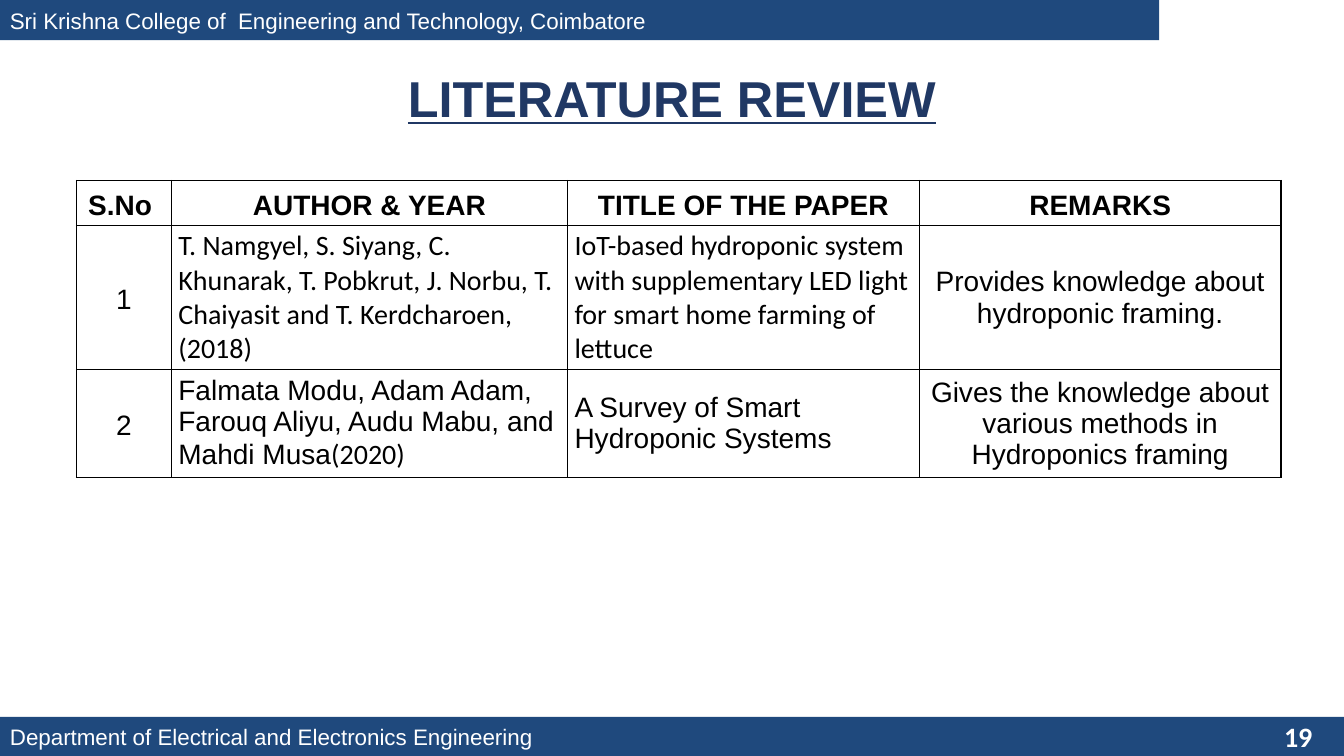
import pptx
import pptx.dml.color
import pptx.enum.shapes
import pptx.enum.text
import pptx.oxml
import pptx.oxml.ns
import pptx.util

Pt = pptx.util.Pt
RGBColor = pptx.dml.color.RGBColor
ALIGN = pptx.enum.text.PP_ALIGN
MIDDLE = pptx.enum.text.MSO_ANCHOR.MIDDLE

BAND_BLUE = RGBColor(0x1F, 0x49, 0x7D)
TITLE_NAVY = RGBColor(0x20, 0x38, 0x64)
WHITE = RGBColor(0xFF, 0xFF, 0xFF)
BLACK = RGBColor(0, 0, 0)

SLIDE_WIDTH, SLIDE_HEIGHT = 960, 540
COLUMN_WIDTHS = [67.7, 283, 251.3, 258.4]
ROW_HEIGHTS = [31, 102.8, 74]
HEADINGS = ["S.No ", "AUTHOR & YEAR", "TITLE OF THE PAPER", "REMARKS"]
PAPERS = [
    (
        [("T. Namgyel, S. Siyang, C. Khunarak, T. Pobkrut, J. Norbu, "
          "T. Chaiyasit and T. Kerdcharoen, (2018)", "Calibri")],
        [("IoT-based hydroponic system with supplementary LED light "
          "for smart home farming of lettuce", "Calibri")],
        "Provides knowledge about hydroponic framing.",
    ),
    (
        [("Falmata Modu, Adam Adam, Farouq Aliyu, Audu Mabu, and Mahdi Musa", "Arial"),
         ("(2020)", "Calibri")],
        [("A Survey of Smart Hydroponic Systems", "Arial")],
        "Gives the knowledge about various methods in Hydroponics framing",
    ),
]


class ReviewSlide:
    """Holds the slide and its style, and adds each kind of element."""

    def __init__(self, presentation):
        self.slide = presentation.slides.add_slide(presentation.slide_layouts[5])

    def add_runs(self, frame, runs, size, color, align=ALIGN.LEFT, bold=False,
                 underline=False, spacing=1.0):
        paragraph = frame.paragraphs[0]
        paragraph.alignment = align
        paragraph.line_spacing = spacing
        for text, font_name in runs:
            run = paragraph.add_run()
            run.text = text
            run.font.name = font_name
            run.font.size = Pt(size)
            run.font.bold = bold
            run.font.underline = underline
            run.font.color.rgb = color

    def place(self, shape, left, top, width, height):
        shape.left, shape.top = Pt(left), Pt(top)
        shape.width, shape.height = Pt(width), Pt(height)

    def title(self, text, *box):
        heading = self.slide.shapes.title
        self.place(heading, *box)
        heading.fill.solid()
        heading.fill.fore_color.rgb = WHITE
        heading.line.color.rgb = WHITE
        heading.line.width = Pt(0.75)
        frame = heading.text_frame
        frame.auto_size = pptx.enum.text.MSO_AUTO_SIZE.NONE
        frame.vertical_anchor = MIDDLE
        self.add_runs(frame, [(text, "Arial")], 36, TITLE_NAVY, ALIGN.CENTER,
                      bold=True, underline=True, spacing=0.9)

    def band(self, text, *box):
        band = self.slide.shapes.add_shape(
            pptx.enum.shapes.MSO_SHAPE.RECTANGLE, *map(Pt, box))
        band.shadow.inherit = False
        band.fill.solid()
        band.fill.fore_color.rgb = BAND_BLUE
        band.line.fill.background()
        band.text_frame.vertical_anchor = MIDDLE
        self.add_runs(band.text_frame, [(text, "Arial")], 16, WHITE)

    def page_number(self, text, *box):
        number = self.slide.shapes.add_textbox(*map(Pt, box))
        number.text_frame.word_wrap = True
        number.text_frame.vertical_anchor = MIDDLE
        self.add_runs(number.text_frame, [(text, "Calibri")], 20, WHITE,
                      ALIGN.RIGHT, bold=True)

    def table(self, left, top, widths, heights):
        table = self.slide.shapes.add_table(
            len(heights), len(widths), Pt(left), Pt(top),
            Pt(sum(widths)), Pt(sum(heights))).table
        table.first_row = table.horz_banding = False
        for column, width in zip(table.columns, widths):
            column.width = Pt(width)
        for row, height in zip(table.rows, heights):
            row.height = Pt(height)
        return table

    def cell(self, cell, runs, align=ALIGN.CENTER, bold=False, spacing=1.0):
        cell.vertical_anchor = MIDDLE
        cell.margin_left = cell.margin_right = Pt(5)
        cell.margin_top = cell.margin_bottom = Pt(2.4)
        properties = cell._tc.get_or_add_tcPr()
        for side in ("lnL", "lnR", "lnT", "lnB"):
            properties.append(pptx.oxml.parse_xml(
                f'<a:{side} {pptx.oxml.ns.nsdecls("a")} w="{Pt(1)}"><a:solidFill>'
                f'<a:srgbClr val="{BLACK}"/></a:solidFill></a:{side}>'))
        cell.fill.background()
        self.add_runs(cell.text_frame, runs, 20, BLACK, align, bold, spacing=spacing)


def main():
    presentation = pptx.Presentation()
    presentation.slide_width = Pt(SLIDE_WIDTH)
    presentation.slide_height = Pt(SLIDE_HEIGHT)
    review = ReviewSlide(presentation)

    review.band("Department of Electrical and Electronics Engineering",
                0, 512, SLIDE_WIDTH, 28)
    review.band("Sri Krishna College of  Engineering and Technology, Coimbatore",
                0, 0, 828, 28.8)
    review.page_number("19", 728.6, 511.2, 216, 28.8)
    review.title("LITERATURE REVIEW", 150, 42.5, 660, 59.8)

    papers = review.table(54.7, 128.9, COLUMN_WIDTHS, ROW_HEIGHTS)
    for column, heading in enumerate(HEADINGS):
        review.cell(papers.cell(0, column), [(heading, "Arial")],
                    bold=True, spacing=1.15)
    for row, (authors, paper_title, remark) in enumerate(PAPERS, start=1):
        review.cell(papers.cell(row, 0), [(str(row), "Arial")], spacing=1.15)
        review.cell(papers.cell(row, 1), authors, ALIGN.LEFT)
        review.cell(papers.cell(row, 2), paper_title, ALIGN.LEFT)
        review.cell(papers.cell(row, 3), [(remark, "Arial")])

    presentation.save("out.pptx")


if __name__ == "__main__":
    main()
